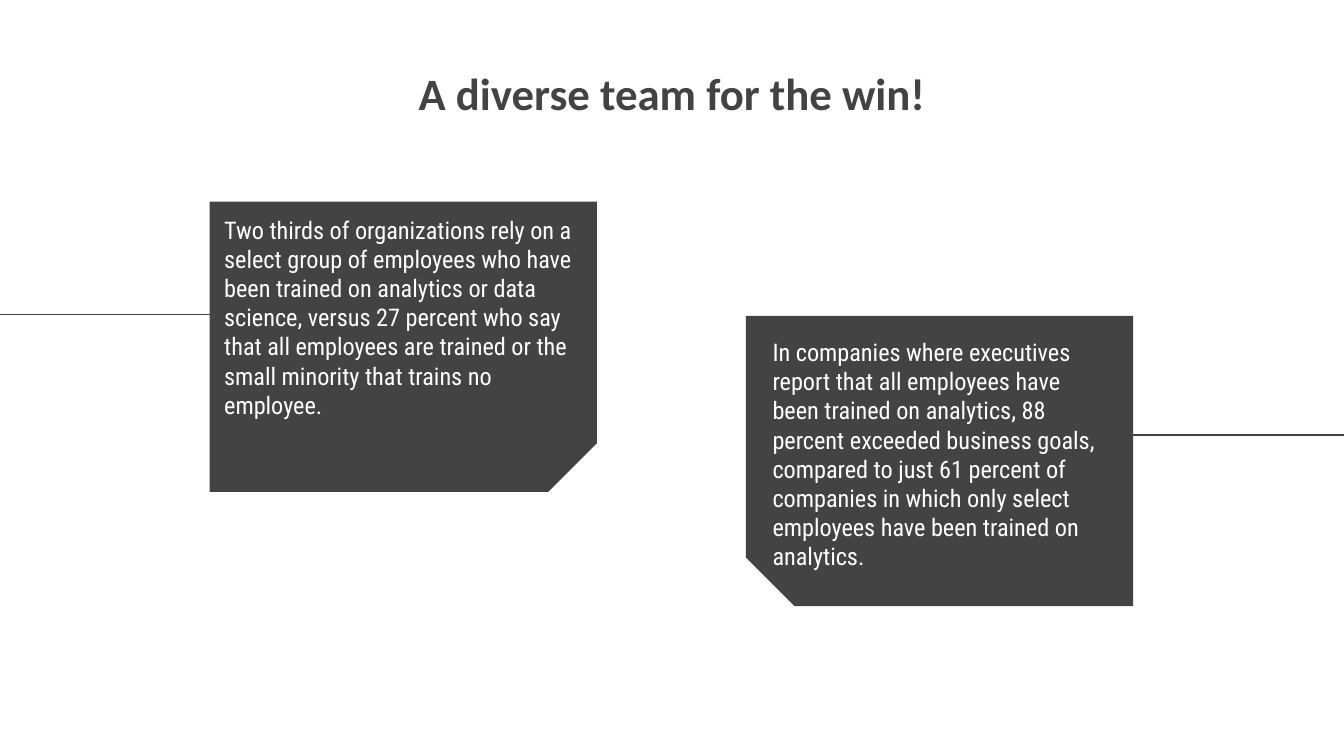
from pptx import Presentation
from pptx.dml.color import RGBColor
from pptx.enum.shapes import MSO_CONNECTOR as Connector, MSO_SHAPE as Shape
from pptx.enum.text import MSO_ANCHOR as Anchor, PP_ALIGN as Align
from pptx.oxml.ns import qn
from pptx.util import Inches, Pt
from lxml import etree

PAGE_WIDTH = 10
PAGE_HEIGHT = PAGE_WIDTH * 9 / 16
CARD_WIDTH, CARD_HEIGHT = 2.88, 2.16
COLORS = {"dark": "434343", "light": "FFFFFF"}
INSET = Inches(0.1)


def color(name):
    return RGBColor.from_string(COLORS[name])


def add_text(page, box, text, font, size, ink, bold=False, align=Align.LEFT):
    frame = page.shapes.add_textbox(*map(Inches, box)).text_frame
    frame.word_wrap = True
    frame.vertical_anchor = Anchor.TOP
    frame.margin_left = frame.margin_right = INSET
    frame.margin_top = frame.margin_bottom = INSET
    frame.text = text
    para = frame.paragraphs[0]
    para.alignment = align
    span = para.runs[0].font
    span.name, span.size, span.bold = font, Pt(size), bold
    span.color.rgb = color(ink)


def add_card(page, box, side, line_share):
    """Card with a snipped inner bottom corner, tied to the page edge on its side."""
    left, top, width, height = box
    # The card is an upright shape turned a quarter about its centre
    upright = (left + (width - height) / 2, top + (height - width) / 2, height, width)
    card = page.shapes.add_shape(Shape.SNIP_1_RECTANGLE, *map(Inches, upright))
    card.adjustments[0] = 0.167
    card.rotation = 90 if side == "left" else 270
    if side == "right":
        card._element.spPr.find(qn("a:xfrm")).set("flipH", "1")
    card.shadow.inherit = False
    card.fill.solid()
    card.fill.fore_color.rgb = color("dark")
    card.line.fill.background()

    # Line from inside the card to the page edge
    overlap = 0.38 * width
    if side == "left":
        start, end = left + overlap, 0
    else:
        start, end = PAGE_WIDTH, left + width - overlap
    level = top + line_share * height
    line = page.shapes.add_connector(
        Connector.STRAIGHT, *map(Inches, (start, level, end, level)))
    line.line.color.rgb = color("dark")
    line.line.width = Pt(0.75)
    etree.SubElement(line._element.spPr, qn("a:effectLst"))


def add_title(page, box, text):
    add_text(page, box, text, "Calibri", 24, "dark", bold=True, align=Align.CENTER)


def add_statement(page, box, text):
    add_text(page, box, text, "Roboto Condensed", 13, "light")


def main():
    deck = Presentation()
    deck.slide_width, deck.slide_height = Inches(PAGE_WIDTH), Inches(PAGE_HEIGHT)
    page = deck.slides.add_slide(deck.slide_layouts[6])
    page.background.fill.solid()
    page.background.fill.fore_color.rgb = color("light")

    # Cards and their lines
    add_card(page, (5.55, 2.35, CARD_WIDTH, CARD_HEIGHT), "right", 0.41)
    add_card(page, (1.56, 1.5, CARD_WIDTH, CARD_HEIGHT), "left", 0.39)

    # Title and statements
    add_title(page, (2.15, 0.39, 5.7, 1.03), "A diverse team for the win!")
    add_statement(
        page, (1.57, 1.5, 2.8, 1.84),
        "Two thirds of organizations rely on a select group of employees who have "
        "been trained on analytics or data science, versus 27 percent who say that "
        "all employees are trained or the small minority that trains no employee.")
    add_statement(
        page, (5.65, 2.41, 2.67, 1.1),
        "In companies where executives report that all employees have been trained "
        "on analytics, 88 percent exceeded business goals, compared to just 61 "
        "percent of companies in which only select employees have been trained on "
        "analytics.")

    deck.save("out.pptx")


if __name__ == "__main__":
    main()
